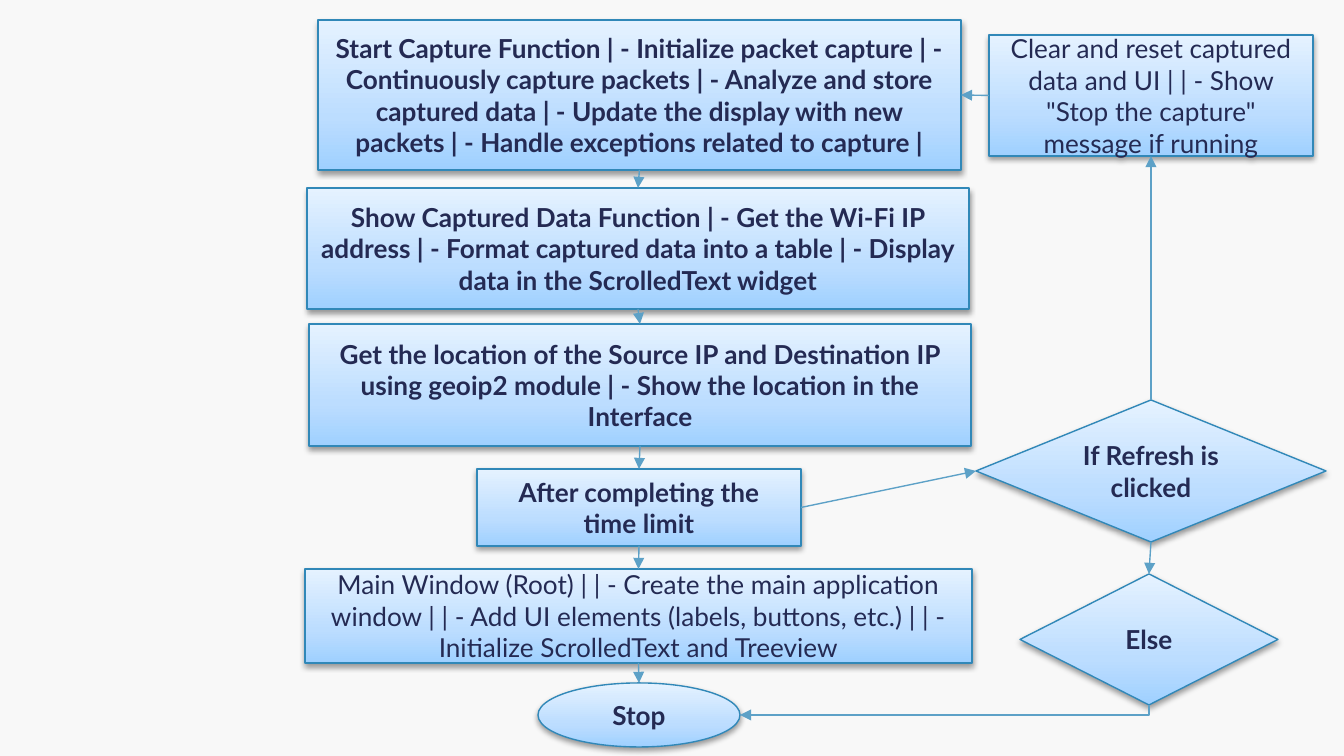
from copy import deepcopy
from dataclasses import dataclass

from lxml import etree
from pptx import Presentation
from pptx.dml.color import RGBColor
from pptx.enum.shapes import MSO_CONNECTOR, MSO_SHAPE
from pptx.enum.text import MSO_ANCHOR, PP_ALIGN
from pptx.oxml.ns import qn
from pptx.util import Pt

RECT, OVAL, DECISION = MSO_SHAPE.RECTANGLE, MSO_SHAPE.OVAL, MSO_SHAPE.FLOWCHART_DECISION
STRAIGHT, ELBOW = MSO_CONNECTOR.STRAIGHT, MSO_CONNECTOR.ELBOW
MIDDLE, CENTER = MSO_ANCHOR.MIDDLE, PP_ALIGN.CENTER
TOP, LEFT, BOTTOM, RIGHT = range(4)


@dataclass(frozen=True)
class Theme:
    background: str = "F8F8F8"
    text: str = "242A53"
    outline: str = "3188B8"
    arrow: str = "5DA1C7"
    gradient: tuple = ((0, "9FD0FF"), (0.35, "BCDDFF"), (1, "E5F2FF"))
    font: str = "Lato"
    size: int = 14
    line: float = 0.75


THEME = Theme()
SLIDE_SIZE = (1344, 756)

STEPS = {
    "start": (RECT, (318, 20, 643, 150), True,
              "Start Capture Function | - Initialize packet capture | - Continuously capture "
              "packets | - Analyze and store captured data | - Update the display with new "
              "packets | - Handle exceptions related to capture |"),
    "show": (RECT, (307, 188, 662, 121), True,
             "Show Captured Data Function | - Get the Wi-Fi IP address | - Format captured "
             "data into a table | - Display data in the ScrolledText widget"),
    "locate": (RECT, (309, 324, 662, 122), True,
               "Get the location of the Source IP and Destination IP using geoip2 module | "
               "- Show the location in the Interface"),
    "time limit": (RECT, (477, 469, 324, 77), True, "After completing the time limit"),
    "main window": (RECT, (305, 569, 667, 94), False,
                    "Main Window (Root) | | - Create the main application window | | - Add UI "
                    "elements (labels, buttons, etc.) | | - Initialize ScrolledText and Treeview"),
    "stop": (OVAL, (538, 683, 202, 64), True, "Stop"),
    "refresh": (DECISION, (976, 400, 350, 142), True, "If Refresh is clicked"),
    "clear": (RECT, (989, 35, 324, 121), False,
              'Clear and reset captured data and UI | | - Show "Stop the capture" message '
              "if running"),
    "else": (DECISION, (1020, 574, 258, 131), True, "Else"),
}

ARROWS = [
    ("start", BOTTOM, "show", TOP),
    ("show", BOTTOM, "locate", TOP),
    ("locate", BOTTOM, "time limit", TOP),
    ("time limit", BOTTOM, "main window", TOP),
    ("main window", BOTTOM, "stop", TOP),
    ("time limit", RIGHT, "refresh", LEFT),
    ("refresh", TOP, "clear", BOTTOM),
    ("refresh", BOTTOM, "else", TOP),
    ("clear", LEFT, "start", RIGHT),
]


def px(length):
    return round(length * 9144000 / 1344)


def rgb(value):
    return RGBColor.from_string(value)


def add_step(slide, kind, frame, bold, wording):
    step = slide.shapes.add_shape(kind, *map(px, frame))
    step.fill.gradient()
    step.fill.gradient_angle = 90
    stops = step.fill._fill._gradFill.find(qn("a:gsLst"))
    stops.append(deepcopy(stops[0]))
    for stop, (position, color) in zip(step.fill.gradient_stops, THEME.gradient):
        stop.position = position
        stop.color.rgb = rgb(color)
    step.line.color.rgb = rgb(THEME.outline)
    step.line.width = Pt(THEME.line)

    step.shadow.inherit = False
    effects = step._element.spPr.find(qn("a:effectLst"))
    shadow = etree.SubElement(effects, qn("a:outerShdw"), blurRad="40000", dist="20000",
                              dir="5400000", rotWithShape="0")
    black = etree.SubElement(shadow, qn("a:srgbClr"), val="000000")
    etree.SubElement(black, qn("a:alpha"), val="38000")

    frame = step.text_frame
    frame.word_wrap = True
    frame.vertical_anchor = MIDDLE
    paragraph = frame.paragraphs[0]
    paragraph.text = wording
    paragraph.alignment = CENTER
    paragraph.font.name = THEME.font
    paragraph.font.size = Pt(THEME.size)
    paragraph.font.bold = bold
    paragraph.font.color.rgb = rgb(THEME.text)
    return step


def add_arrow(slide, kind, begin=(0, 0), end=(0, 0)):
    arrow = slide.shapes.add_connector(kind, *begin, *end)
    arrow.line.color.rgb = rgb(THEME.arrow)
    arrow.line.width = Pt(THEME.line)
    etree.SubElement(arrow.line._get_or_add_ln(), qn("a:tailEnd"), type="triangle")
    etree.SubElement(arrow._element.spPr, qn("a:effectLst"))
    return arrow


def add_corner_arrow(slide, source, target):
    start_x, start_y = source.left + source.width // 2, source.top + source.height
    end_x, end_y = target.left + target.width, target.top + target.height // 2
    across, down = start_x - end_x, end_y - start_y
    left = (start_x + end_x - down) // 2
    top = (start_y + end_y - across) // 2
    arrow = add_arrow(slide, ELBOW, (left, top), (left + down, top + across))
    properties = arrow._element.spPr
    properties.find(qn("a:xfrm")).set("rot", "5400000")
    properties.find(qn("a:prstGeom")).set("prst", "bentConnector2")


def main():
    deck = Presentation()
    deck.slide_width, deck.slide_height = map(px, SLIDE_SIZE)
    slide = deck.slides.add_slide(deck.slide_layouts[6])
    slide.background.fill.solid()
    slide.background.fill.fore_color.rgb = rgb(THEME.background)

    steps = {name: add_step(slide, *details) for name, details in STEPS.items()}
    for source, source_side, target, target_side in ARROWS:
        arrow = add_arrow(slide, STRAIGHT)
        arrow.begin_connect(steps[source], source_side)
        arrow.end_connect(steps[target], target_side)
    add_corner_arrow(slide, steps["else"], steps["stop"])

    deck.save("out.pptx")


if __name__ == "__main__":
    main()
